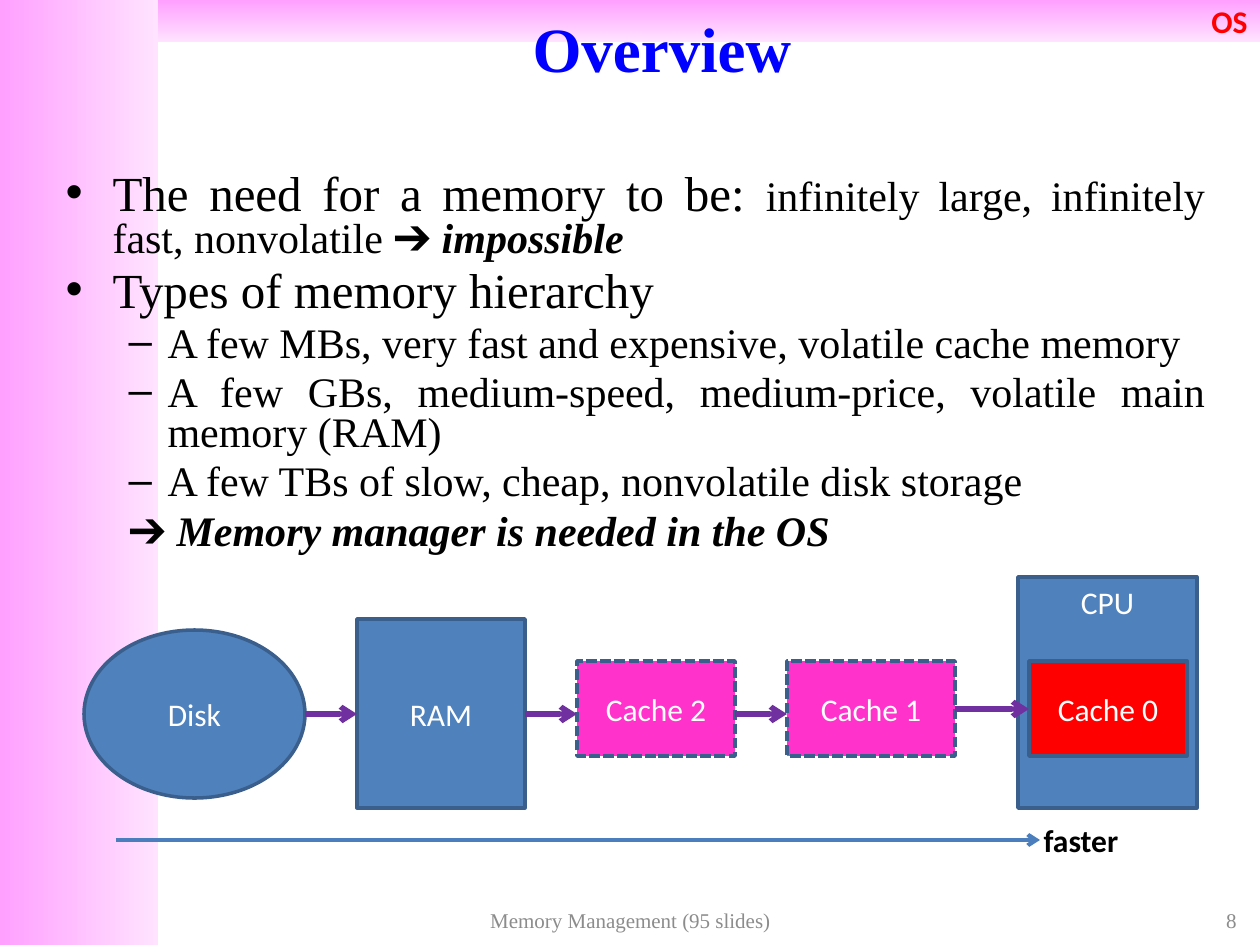
from lxml.etree import SubElement
from pptx import Presentation
from pptx.dml.color import RGBColor
from pptx.enum.dml import MSO_LINE
from pptx.enum.shapes import MSO_CONNECTOR, MSO_SHAPE
from pptx.enum.text import MSO_ANCHOR, MSO_AUTO_SIZE, PP_ALIGN
from pptx.oxml.ns import qn
from pptx.util import Emu, Pt

SCALE = 914400 / 126
SERIF, SANS = "Times New Roman", "Calibri"
BLUE, PINK, RED, PURPLE = "4F81BD", "FF33CC", "FF0000", "7030A0"
BLACK, WHITE, GREY, EDGE = "000000", "FFFFFF", "8C8C8C", "3A5F8C"

# level, bullet, then runs of (text, size, emphasised)
BODY = [
    (0, "•", [("The need for a memory to be: ", 28, False),
              ("infinitely large, infinitely fast, nonvolatile ➔ ", 24, False),
              ("impossible", 24, True)]),
    (0, "•", [("Types of memory hierarchy", 28, False)]),
    (1, "–", [("A few MBs, very fast and expensive, volatile cache memory", 24, False)]),
    (1, "–", [("A few GBs, medium-speed, medium-price, volatile main memory (RAM)", 24, False)]),
    (1, "–", [("A few TBs of slow, cheap, nonvolatile disk storage", 24, False)]),
    (1, None, [("➔ Memory manager is needed in the OS", 24, True)]),
]
INDENTS = [(47, -47), (102, -39)]


def px(n):
    return Emu(round(n * SCALE))


def rgb(code):
    return RGBColor.from_string(code)


def set_font(font, name, size, color, bold=False):
    font.name, font.size, font.bold = name, Pt(size), bold
    font.color.rgb = rgb(color)


def place(sp, *box):
    sp.left, sp.top, sp.width, sp.height = map(px, box)


def set_label(sp, text, name, size, color, bold=False,
              align=PP_ALIGN.CENTER, anchor=MSO_ANCHOR.MIDDLE):
    tf = sp.text_frame
    tf.text = text
    tf.word_wrap = True
    tf.auto_size = MSO_AUTO_SIZE.NONE
    tf.vertical_anchor = anchor
    p = tf.paragraphs[0]
    p.alignment = align
    set_font(p.runs[0].font, name, size, color, bold)


def add_band(s, box, angle):
    """Add a gradient band behind the placeholders."""
    sp = s.shapes.add_shape(MSO_SHAPE.RECTANGLE, *map(px, box))
    sp.shadow.inherit = False
    sp.line.fill.background()
    sp.fill.gradient()
    sp.fill.gradient_angle = angle
    for stop, color in zip(sp.fill.gradient_stops, ("FFA0FF", "FFE3FF")):
        stop.color.rgb = rgb(color)
    s.shapes.title.element.addprevious(sp.element)
    return sp


def add_unit(s, text, box, fill, shape=MSO_SHAPE.RECTANGLE, dashed=False,
             anchor=MSO_ANCHOR.MIDDLE):
    sp = s.shapes.add_shape(shape, *map(px, box))
    sp.shadow.inherit = False
    sp.fill.solid()
    sp.fill.fore_color.rgb = rgb(fill)
    sp.line.color.rgb = rgb(EDGE)
    sp.line.width = Pt(2)
    if dashed:
        sp.line.dash_style = MSO_LINE.SQUARE_DOT
    set_label(sp, text, SANS, 18, WHITE, anchor=anchor)


def add_arrow(s, x1, x2, y, color, width):
    c = s.shapes.add_connector(MSO_CONNECTOR.STRAIGHT, px(x1), px(y), px(x2), px(y))
    c.line.color.rgb = rgb(color)
    c.line.width = Pt(width)
    SubElement(c.line._get_or_add_ln(), qn("a:tailEnd"), type="arrow")
    SubElement(c.element.spPr, qn("a:effectLst"))


def add_text(s, text, box, *style, **options):
    set_label(s.shapes.add_textbox(*map(px, box)), text, *style, **options)


def set_bullet(p, level, char):
    margin, indent = INDENTS[level]
    pPr = p._p.get_or_add_pPr()
    pPr.set("marL", str(px(margin)))
    pPr.set("indent", str(px(indent)))
    if char:
        SubElement(pPr, qn("a:buChar"), char=char)
    else:
        SubElement(pPr, qn("a:buNone"))


def fill_body(sp):
    place(sp, 53, 168, 1165, 431)
    tf = sp.text_frame
    tf.word_wrap = True
    tf.auto_size = MSO_AUTO_SIZE.NONE
    for i, (level, char, runs) in enumerate(BODY):
        p = tf.add_paragraph() if i else tf.paragraphs[0]
        p.level = level
        set_bullet(p, level, char)
        p.alignment = PP_ALIGN.JUSTIFY
        p.line_spacing = 0.8
        p.space_before = Pt(5 if i else 0)
        for text, size, emphasised in runs:
            r = p.add_run()
            r.text = text
            set_font(r.font, SERIF, size, BLACK, emphasised)
            r.font.italic = emphasised


def draw_hierarchy(s):
    add_unit(s, "CPU", (1018, 577, 179, 231), BLUE, anchor=MSO_ANCHOR.TOP)
    add_unit(s, "Cache 0", (1029, 661, 158, 95), RED)
    add_unit(s, "Cache 1", (787, 661, 168, 95), PINK, dashed=True)
    add_unit(s, "Cache 2", (577, 661, 158, 95), PINK, dashed=True)
    add_unit(s, "RAM", (357, 619, 168, 189), BLUE)
    add_unit(s, "Disk", (84, 630, 221, 168), BLUE, MSO_SHAPE.OVAL)
    for x1, x2, y in [(305, 357, 714), (525, 577, 714), (735, 787, 714), (955, 1029, 709)]:
        add_arrow(s, x1, x2, y, PURPLE, 3)
    add_arrow(s, 116, 1040, 840, "4B7EBC", 2.25)
    add_text(s, "faster", (1018, 819, 126, 42), SANS, 18, BLACK, True)


def main():
    prs = Presentation()
    prs.slide_width, prs.slide_height = px(1260), px(945)
    s = prs.slides.add_slide(prs.slide_layouts[1])

    add_band(s, (0, 0, 158, 945), 0)
    top = add_band(s, (158, 0, 1102, 42), 270)
    set_label(top, "OS", SANS, 18, RED, True, align=PP_ALIGN.RIGHT)

    title = s.shapes.title
    place(title, 95, 0, 1134, 95)
    set_label(title, "Overview", SERIF, 36, "0000FF", True)
    fill_body(s.placeholders[1])
    draw_hierarchy(s)

    add_text(s, "8", (955, 903, 294, 34), SERIF, 12, GREY, align=PP_ALIGN.RIGHT)
    add_text(s, "Memory Management (95 slides)", (431, 903, 399, 34), SERIF, 12, GREY)
    prs.save("out.pptx")


if __name__ == "__main__":
    main()
